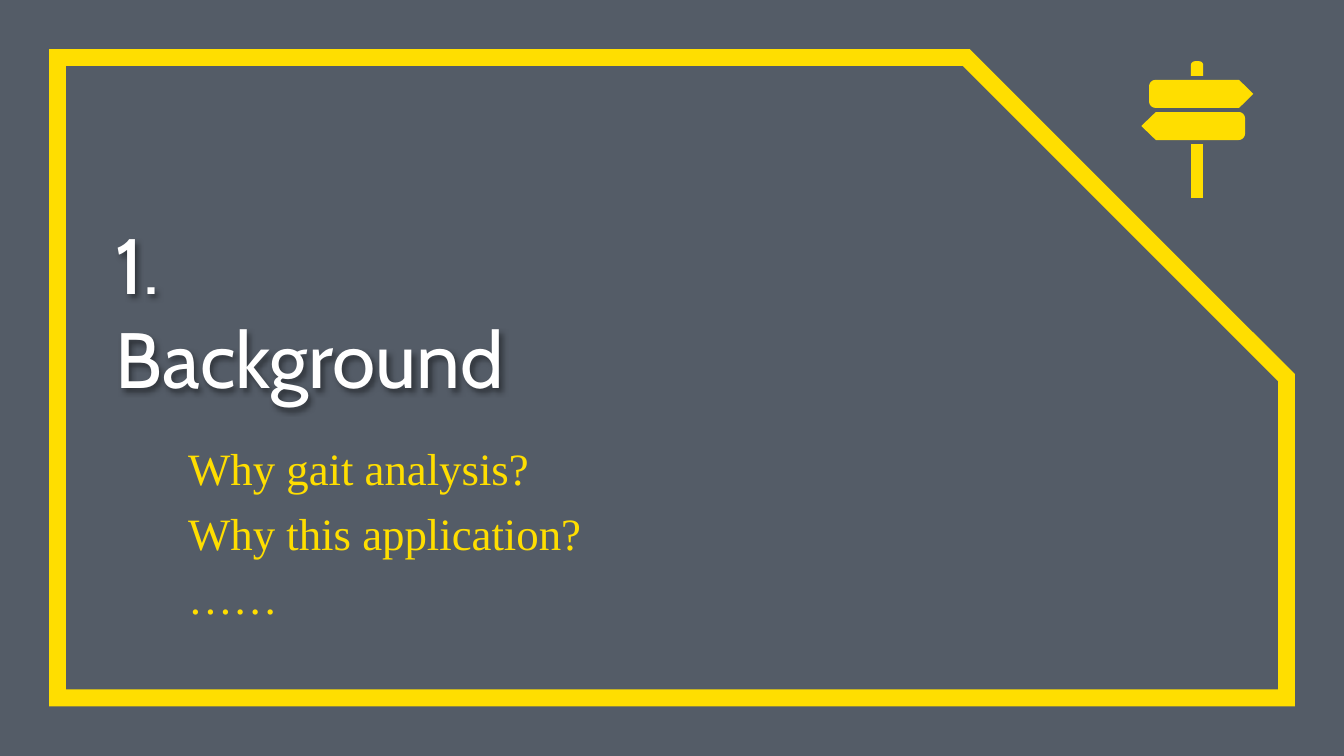
"""Build the "Background" section slide with a snipped frame and a signpost."""

import math
from dataclasses import dataclass

import lxml.etree
import pptx
import pptx.dml.color
import pptx.enum.shapes
import pptx.enum.text
import pptx.oxml
import pptx.oxml.ns
import pptx.shapes.autoshape
import pptx.shapes.group
import pptx.slide
import pptx.util

Pt = pptx.util.Pt
Color = pptx.dml.color.RGBColor
Shapes = pptx.enum.shapes.MSO_SHAPE
Point = tuple[float, float]


@dataclass(frozen=True)
class Theme:
    paper: Color = Color(0xFF, 0xFF, 0xFF)
    veil: Color = Color(0x04, 0x0F, 0x20)
    veil_opacity: int = 68
    accent: Color = Color(0xFF, 0xDE, 0x00)
    title_color: Color = Color(0xFF, 0xFF, 0xFF)
    title_font: str = "Cabin"
    title_size: float = 42
    body_font: str = "Times New Roman"
    body_size: float = 24
    frame_weight: float = 9


@dataclass(frozen=True)
class Box:
    left: float
    top: float
    width: float
    height: float

    def lengths(self) -> list[pptx.util.Length]:
        return [Pt(value) for value in (self.left, self.top, self.width, self.height)]


@dataclass(frozen=True)
class TextBlock:
    box: Box
    lines: tuple[str, ...]
    font: str
    size: float
    color: Color
    anchor: pptx.enum.text.MSO_ANCHOR
    line_spacing: float = 1.0
    shadowed: bool = False


@dataclass(frozen=True)
class Board:
    flat: float
    shoulder: float
    tip: float
    top: float
    height: float = 15
    radius: float = 3.4


THEME = Theme()
PAGE = Box(0, 0, 720, 405)
FRAME = Box(30.8, 30.8, 658.4, 343.1)
BOARDS = (Board(615.6, 663.8, 671.4, 42.8), Board(667, 619.2, 611.4, 60))
POLE_CAP = Box(638, 32.8, 6.6, 7.8)
POLE = Box(638, 77.2, 6.6, 28.9)
CAP_RADIUS = 2.2

TEXTS = (
    TextBlock(Box(62, 117.2, 450.7, 99.4), ("1.", "Background"),
              THEME.title_font, THEME.title_size, THEME.title_color,
              pptx.enum.text.MSO_ANCHOR.BOTTOM, shadowed=True),
    TextBlock(Box(100.8, 230.4, 450.7, 103.7),
              ("Why gait analysis?", "Why this application?", "……"),
              THEME.body_font, THEME.body_size, THEME.accent,
              pptx.enum.text.MSO_ANCHOR.TOP, line_spacing=1.2),
)


def draw_veil(slide: pptx.slide.Slide) -> None:
    shape = slide.shapes.add_shape(Shapes.RECTANGLE, *PAGE.lengths())
    shape.shadow.inherit = False
    shape.line.fill.background()
    shape.fill.solid()
    shape.fill.fore_color.rgb = THEME.veil
    color = shape.fill._xPr.find(".//" + pptx.oxml.ns.qn("a:srgbClr"))
    alpha = lxml.etree.SubElement(color, pptx.oxml.ns.qn("a:alpha"))
    alpha.set("val", str(THEME.veil_opacity * 1000))


def draw_frame(slide: pptx.slide.Slide) -> None:
    shape = slide.shapes.add_shape(Shapes.SNIP_1_RECTANGLE, *FRAME.lengths())
    shape.adjustments[0] = 0.5
    shape.shadow.inherit = False
    shape.fill.background()
    shape.line.color.rgb = THEME.accent
    shape.line.width = Pt(THEME.frame_weight)
    line = shape.line._get_or_add_ln()
    miter = lxml.etree.SubElement(line, pptx.oxml.ns.qn("a:miter"))
    miter.set("lim", "800000")


def add_shadow(shape: pptx.shapes.autoshape.Shape) -> None:
    shape._element.spPr.append(pptx.oxml.parse_xml(
        f'<a:effectLst {pptx.oxml.ns.nsdecls("a")}>'
        '<a:outerShdw blurRad="38100" dist="25400" dir="2700000" algn="tl" rotWithShape="0">'
        '<a:srgbClr val="000000"><a:alpha val="43000"/></a:srgbClr>'
        '</a:outerShdw></a:effectLst>'))


def draw_text(slide: pptx.slide.Slide, block: TextBlock) -> None:
    shape = slide.shapes.add_textbox(*block.box.lengths())
    frame = shape.text_frame
    frame.word_wrap = True
    frame.vertical_anchor = block.anchor
    frame.margin_left = frame.margin_right = Pt(0)
    frame.margin_top = frame.margin_bottom = Pt(0)
    for index, line in enumerate(block.lines):
        paragraph = frame.add_paragraph() if index else frame.paragraphs[0]
        paragraph.line_spacing = block.line_spacing
        run = paragraph.add_run()
        run.text = line
        run.font.name = block.font
        run.font.size = Pt(block.size)
        run.font.color.rgb = block.color
    if block.shadowed:
        add_shadow(shape)


def corner(center: Point, radius: float, start: int, end: int) -> list[Point]:
    angles = [math.radians(start + (end - start) * step / 6) for step in range(7)]
    return [(center[0] + radius * math.cos(angle), center[1] + radius * math.sin(angle))
            for angle in angles]


def board_outline(board: Board) -> list[Point]:
    direction = math.copysign(1, board.tip - board.flat)
    center = board.flat + direction * board.radius
    bottom = board.top + board.height
    flat_angle = 180 if direction > 0 else 0
    return [
        (board.shoulder, board.top),
        (board.tip, board.top + board.height / 2),
        (board.shoulder, bottom),
        *corner((center, bottom - board.radius), board.radius, 90, flat_angle),
        *corner((center, board.top + board.radius), board.radius,
                180 if direction > 0 else 360, 270),
    ]


def pole_outline(box: Box, radius: float = 0) -> list[Point]:
    right, bottom = box.left + box.width, box.top + box.height
    ends = [(box.left, bottom), (right, bottom)]
    if not radius:
        return [*ends, (right, box.top), (box.left, box.top)]
    return [
        *ends,
        *corner((right - radius, box.top + radius), radius, 360, 270),
        *corner((box.left + radius, box.top + radius), radius, 270, 180),
    ]


def draw_outline(group: pptx.shapes.group.GroupShape, points: list[Point]) -> None:
    first, *others = [(Pt(x), Pt(y)) for x, y in points]
    builder = group.shapes.build_freeform(*first)
    builder.add_line_segments(others, close=True)
    shape = builder.convert_to_shape()
    shape.shadow.inherit = False
    shape.fill.solid()
    shape.fill.fore_color.rgb = THEME.accent
    shape.line.fill.background()


def draw_signpost(slide: pptx.slide.Slide) -> None:
    group = slide.shapes.add_group_shape()
    for board in BOARDS:
        draw_outline(group, board_outline(board))
    draw_outline(group, pole_outline(POLE_CAP, CAP_RADIUS))
    draw_outline(group, pole_outline(POLE))


def main() -> None:
    presentation = pptx.Presentation()
    presentation.slide_width, presentation.slide_height = Pt(PAGE.width), Pt(PAGE.height)
    slide = presentation.slides.add_slide(presentation.slide_layouts[6])
    slide.background.fill.solid()
    slide.background.fill.fore_color.rgb = THEME.paper
    draw_veil(slide)
    draw_frame(slide)
    for block in TEXTS:
        draw_text(slide, block)
    draw_signpost(slide)
    presentation.save("out.pptx")


if __name__ == "__main__":
    main()
